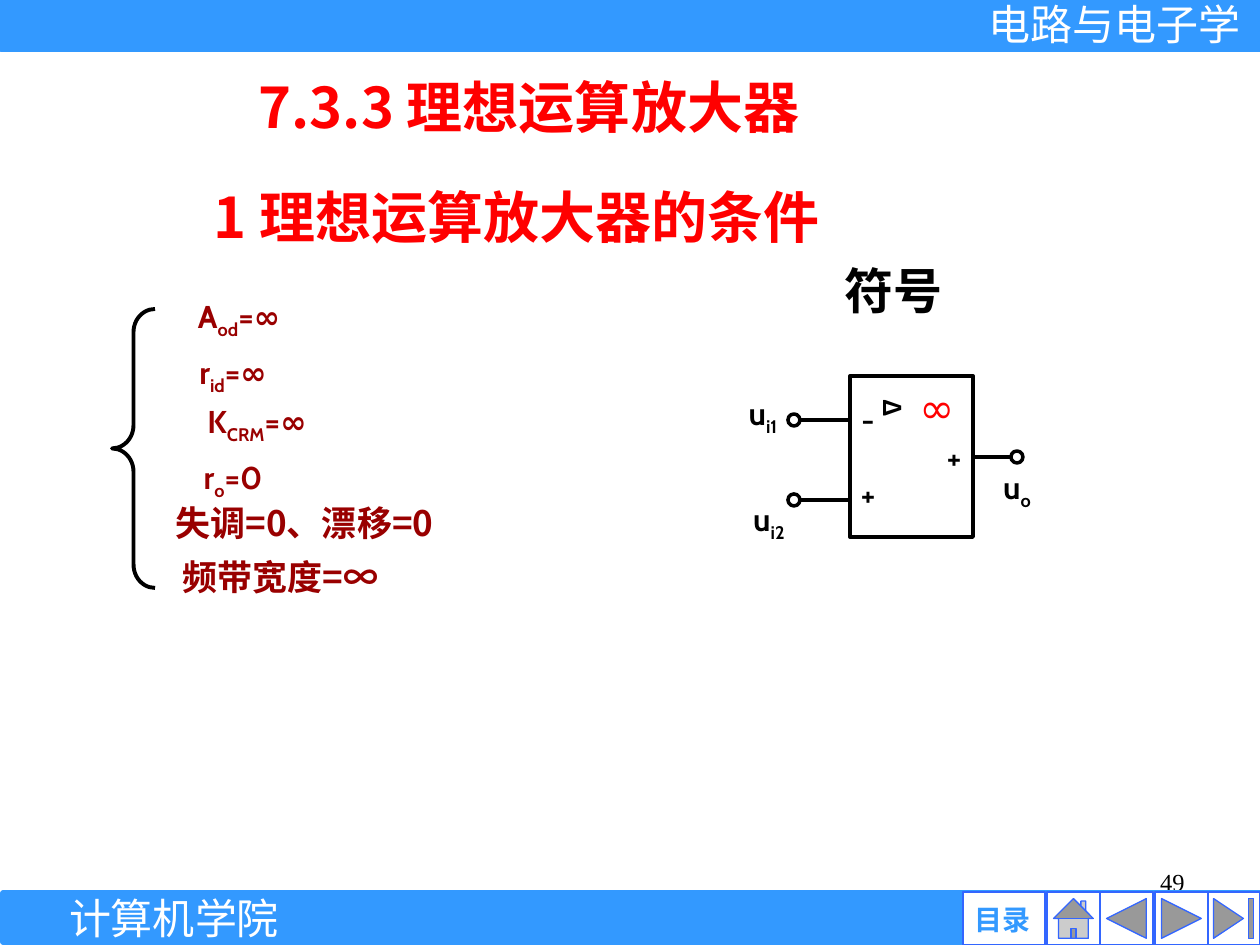
from dataclasses import dataclass

from lxml import etree
from pptx import Presentation
from pptx import util as u
from pptx.dml.color import RGBColor
from pptx.enum import shapes, text
from pptx.oxml.ns import qn

PX = 914400 / 126
KIND = shapes.MSO_SHAPE
ALIGN = text.PP_ALIGN


def px(*lengths):
    return [u.Emu(round(n * PX)) for n in lengths]


@dataclass(frozen=True)
class Theme:
    bar: str = "3399FF"
    button: str = "3366FF"
    white: str = "FFFFFF"
    black: str = "000000"
    heading: str = "FF0000"
    condition: str = "990000"
    cjk: str = "Noto Sans CJK SC"
    latin: str = "Cabin"
    sans: str = "Arial"
    serif: str = "Times New Roman"
    heading_size: int = 32
    symbol_size: int = 28
    banner_size: int = 24
    list_size: int = 20
    label_size: int = 18
    menu_size: int = 16
    small_size: int = 14


class Page:
    def __init__(self, deck, theme):
        self.theme = theme
        self.slide = deck.slides.add_slide(deck.slide_layouts[5])

    def set_words(self, holder, parts, size, font, color, bold=True, align=ALIGN.CENTER,
                  wrap=True, inset=True, middle=False):
        frame = holder.text_frame
        frame.word_wrap = wrap
        frame.auto_size = text.MSO_AUTO_SIZE.NONE
        frame.vertical_anchor = text.MSO_ANCHOR.MIDDLE if middle else text.MSO_ANCHOR.TOP
        if not inset:
            frame.margin_left = frame.margin_right = frame.margin_top = frame.margin_bottom = 0
        paragraph = frame.paragraphs[0]
        paragraph.alignment = align
        for position, part in enumerate(parts):
            run = paragraph.add_run()
            run.text = part
            run.font.size = u.Pt(size)
            run.font.bold = bold
            run.font.color.rgb = RGBColor.from_string(color)
            run.font.name = font
            properties = run._r.get_or_add_rPr()
            etree.SubElement(properties, qn("a:ea")).set("typeface", self.theme.cjk)
            if position == 1:
                properties.set("baseline", "-25000")

    def title(self, box, words, *style):
        heading = self.slide.shapes.title
        heading.left, heading.top, heading.width, heading.height = px(*box)
        self.set_words(heading, [words], *style)

    def label(self, box, parts, *style, turn=0, **layout):
        holder = self.slide.shapes.add_textbox(*px(*box))
        holder.rotation = turn
        self.set_words(holder, parts, *style, **layout)

    def shape(self, kind, box, fill, line, width):
        drawn = self.slide.shapes.add_shape(kind, *px(*box))
        drawn.shadow.inherit = False
        if fill:
            drawn.fill.solid()
            drawn.fill.fore_color.rgb = RGBColor.from_string(fill)
        else:
            drawn.fill.background()
        drawn.line.color.rgb = RGBColor.from_string(line)
        drawn.line.width = u.Pt(width)
        return drawn

    def wire(self, start, end, y):
        lead = self.slide.shapes.add_connector(shapes.MSO_CONNECTOR.STRAIGHT, *px(start, y, end, y))
        lead.line.color.rgb = RGBColor.from_string(self.theme.black)
        lead.line.width = u.Pt(2.25)
        etree.SubElement(lead._element.spPr, qn("a:effectLst"))


def draw_frame(page):
    t = page.theme
    page.label((903, 861, 294, 65), ["49"], t.small_size, t.serif, t.black,
               bold=False, align=ALIGN.RIGHT)
    for box in ((3, 893, 1259, 49), (1, 0, 1259, 49)):
        page.shape(KIND.RECTANGLE, box, t.bar, t.bar, 3)
    for kind, left, width in (
        (KIND.ACTION_BUTTON_END, 1207, 53),
        (KIND.ACTION_BUTTON_FORWARD_OR_NEXT, 1155, 53),
        (KIND.ACTION_BUTTON_BACK_OR_PREVIOUS, 1100, 53),
        (KIND.ACTION_BUTTON_HOME, 1047, 53),
        (KIND.ACTION_BUTTON_CUSTOM, 963, 82),
    ):
        page.shape(kind, (left, 892, width, 53), t.white, t.button, 0.75)
    page.label((963, 902, 79, 34), ["目录"], t.menu_size, t.sans, t.bar,
               inset=False, middle=True)
    page.label((961, -1, 307, 50), ["电路与电子学"], t.banner_size, t.sans, t.white,
               bold=False, inset=False, middle=True)
    page.label((69, 893, 210, 50), ["计算机学院"], t.banner_size, t.serif, t.white,
               bold=False, wrap=False, inset=False, middle=True)


def draw_conditions(page):
    t = page.theme
    heading = (t.heading_size, t.cjk, t.heading)
    page.title((146, 66, 766, 81), "7.3.3 理想运算放大器", *heading)
    page.label((134, 176, 766, 81), ["1 理想运算放大器的条件"], *heading)
    brace = page.shape(KIND.LEFT_BRACE, (112, 309, 43, 279), None, t.black, 2.25)
    brace.adjustments[0] = 0.54
    for left, top, parts in (
        (137, 291, ("A", "od", "=∞")),
        (131, 347, ("r", "id", "=∞")),
        (155, 396, ("K", "CRM", "=∞")),
        (131, 452, ("r", "o", "=0")),
    ):
        page.label((left, top, 204, 50), parts, t.label_size, t.latin, t.condition)
    for left, top, width, words in (
        (137, 495, 335, "失调=0、漂移=0"),
        (147, 549, 267, "频带宽度=∞"),
    ):
        page.label((left, top, width, 54), [words], t.list_size, t.cjk, t.condition)


def draw_amplifier(page):
    t = page.theme
    page.label((819, 254, 149, 72), ["符号"], t.symbol_size, t.cjk, t.black)
    page.shape(KIND.RECTANGLE, (850, 376, 123, 161), t.white, t.black, 2.25)
    for start, end, y, terminal in (
        (800, 850, 420, 788), (800, 850, 500, 788), (974, 1017, 457, 1011),
    ):
        page.wire(start, end, y)
        page.shape(KIND.OVAL, (terminal, y - 6, 12, 12), t.white, t.black, 2)
    for left, top, parts in (
        (831, 469, ["+"]),
        (917, 432, ["+"]),
        (831, 394, ["-"]),
        (726, 388, ("u", "i1")),
        (732, 494, ("u", "i2")),
        (980, 462, ("u", "o")),
    ):
        page.label((left, top, 74, 50), parts, t.label_size, t.latin, t.black)
    page.label((868, 387, 50, 43), ["Δ"], t.small_size, t.cjk, t.black, turn=90, wrap=False)
    page.label((905, 375, 64, 63), ["∞"], t.banner_size, t.latin, t.heading,
               bold=False, wrap=False)


def main():
    deck = Presentation()
    deck.slide_width, deck.slide_height = px(1260, 945)
    page = Page(deck, Theme())
    draw_frame(page)
    draw_conditions(page)
    draw_amplifier(page)
    deck.save("out.pptx")


if __name__ == "__main__":
    main()
